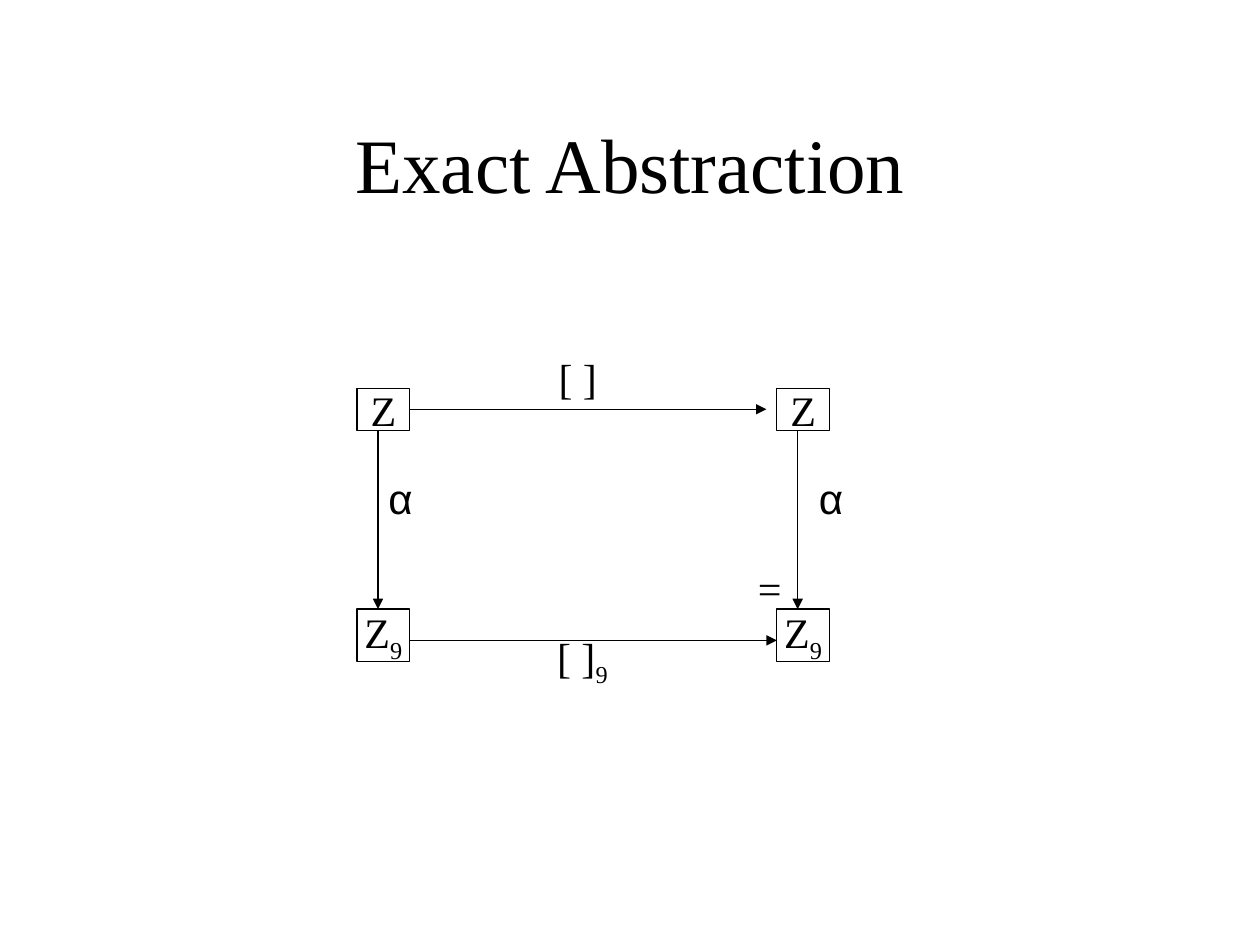
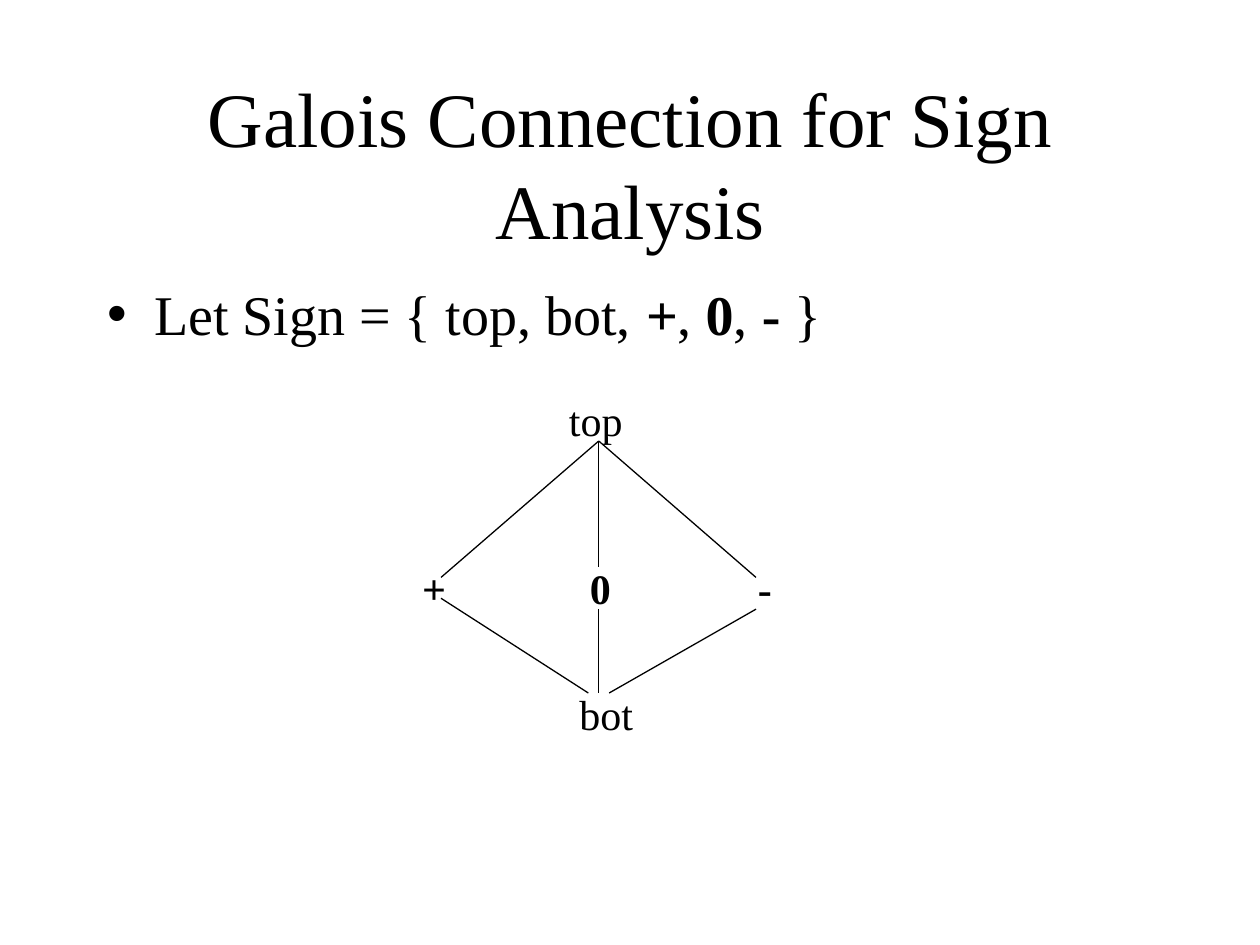
from lxml.etree import SubElement
from pptx import Presentation
from pptx.dml.color import RGBColor
from pptx.enum.shapes import MSO_CONNECTOR, MSO_SHAPE
from pptx.enum.text import MSO_ANCHOR as Anchor, MSO_AUTO_SIZE as AutoSize, PP_ALIGN as Align
from pptx.oxml.ns import qn
from pptx.util import Cm, Pt

BLACK = RGBColor(0x00, 0x00, 0x00)
WHITE = RGBColor(0xFF, 0xFF, 0xFF)
SERIF, SANS = "Times New Roman", "Arial"
HAIRLINE = Pt(0.75)
TITLE_ONLY = 5
LABEL_HEIGHT = 1.27
BOLD = {"bold": True}
PLAIN = {}
SUBSCRIPT = {"subscript": True}


def write_runs(paragraph, runs, size, font=SERIF):
    """Add (text, format) pairs to the paragraph."""
    for text, extra in runs:
        run = paragraph.add_run()
        run.text = text
        run.font.color.rgb = BLACK
        look = {"name": font, "size": Pt(size), **extra}
        if look.pop("subscript", False):
            run.font._element.set("baseline", "-25000")
        for attribute, value in look.items():
            setattr(run.font, attribute, value)


def add_title(slide, text):
    title = slide.shapes.title
    place = {"left": 1.91, "top": 1.69, "width": 21.6, "height": 3.18}
    for attribute, value in place.items():
        setattr(title, attribute, Cm(value))
    frame = title.text_frame
    frame.auto_size = AutoSize.NONE
    frame.vertical_anchor = Anchor.MIDDLE
    frame.paragraphs[0].alignment = Align.CENTER
    write_runs(frame.paragraphs[0], [(text, PLAIN)], 44)


def add_label(slide, origin, x, y, width, runs, font=SERIF, height=LABEL_HEIGHT):
    left, top = origin
    label = slide.shapes.add_textbox(Cm(left + x), Cm(top + y), Cm(width), Cm(height))
    frame = label.text_frame
    frame.word_wrap = True
    frame.auto_size = AutoSize.SHAPE_TO_FIT_TEXT
    write_runs(frame.paragraphs[0], runs, 24, font)


def add_edge(slide, origin, start, end, arrow=False):
    left, top = origin
    (x1, y1), (x2, y2) = start, end
    edge = slide.shapes.add_connector(
        MSO_CONNECTOR.STRAIGHT, Cm(left + x1), Cm(top + y1), Cm(left + x2), Cm(top + y2))
    edge.line.color.rgb = BLACK
    edge.line.width = HAIRLINE
    if arrow:
        SubElement(edge.line._get_or_add_ln(), qn("a:tailEnd"), type="triangle")
    SubElement(edge._element.spPr, qn("a:effectLst"))


def add_domain(slide, origin, x, y, width, height, runs):
    """Draw one boxed corner of the commuting square."""
    left, top = origin
    domain = slide.shapes.add_shape(
        MSO_SHAPE.RECTANGLE, Cm(left + x), Cm(top + y), Cm(width), Cm(height))
    domain.shadow.inherit = False
    domain.fill.solid()
    domain.fill.fore_color.rgb = WHITE
    domain.line.color.rgb = BLACK
    domain.line.width = HAIRLINE
    frame = domain.text_frame
    frame.word_wrap = False
    frame.vertical_anchor = Anchor.MIDDLE
    frame.paragraphs[0].alignment = Align.CENTER
    write_runs(frame.paragraphs[0], runs, 24)


def add_commuting_square(slide, origin):
    width, upper_height, lower_height = 1.06, 0.85, 1.06
    column_step, lower_y = 8.46, 4.45
    upper_arrow_y, lower_arrow_y = 0.42, 5.08
    nine = ("9", SUBSCRIPT)

    add_edge(slide, origin, (width, upper_arrow_y), (8.25, upper_arrow_y), arrow=True)
    for x, alpha_x in ((0, 0.38), (column_step, 9.06)):
        add_domain(slide, origin, x, 0, width, upper_height, [("Z", PLAIN)])
        add_domain(slide, origin, x, lower_y, width, lower_height, [("Z", PLAIN), nine])
        arrow_x = x + 0.42
        add_edge(slide, origin, (arrow_x, upper_height), (arrow_x, lower_y), arrow=True)
        add_label(slide, origin, alpha_x, 1.58, 1.04, [("α", PLAIN)], SANS)
    add_edge(slide, origin, (width, lower_arrow_y), (column_step, lower_arrow_y), arrow=True)

    add_label(slide, origin, 3.81, -0.85, 1.69, [("[ ]", PLAIN)])
    add_label(slide, origin, 3.78, 4.77, 1.69, [("[ ]", PLAIN), nine], height=1.42)
    add_label(slide, origin, 7.83, 3.39, 0.85, [("=", PLAIN)])


def add_bullet(slide, left, top, width, height, runs):
    body = slide.shapes.add_textbox(Cm(left), Cm(top), Cm(width), Cm(height))
    frame = body.text_frame
    frame.word_wrap = True
    paragraph = frame.paragraphs[0]
    properties = paragraph._p.get_or_add_pPr()
    indent = Cm(0.95)
    properties.set("marL", str(indent))
    properties.set("indent", str(-indent))
    SubElement(properties, qn("a:buFont"), typeface=SANS)
    SubElement(properties, qn("a:buChar"), char="•")
    write_runs(paragraph, runs, 32)


def add_sign_lattice(slide, origin):
    middle_y = 3.39
    elements = [
        ("top", 2.96, 0, 2.54, PLAIN),
        ("bot", 3.17, 5.93, 1.9, PLAIN),
        ("+", 0, middle_y, 1.9, BOLD),
        ("-", 6.77, middle_y, 2.54, BOLD),
        ("0", 3.38, middle_y, 1.8, BOLD),
    ]
    for text, x, y, width, look in elements:
        add_label(slide, origin, x, y, width, [(text, look)])

    # For each sign: x, end of its upper edge, start of its lower edge, x at bot
    apex, bot_y = (3.81, 1.06), 6.14
    signs = [(0.63, 3.81, 4.23, 3.6), (3.81, 3.6, 4.45, 3.81), (6.98, 3.81, 4.45, 4.02)]
    for x, upper_y, lower_y, bot_x in signs:
        add_edge(slide, origin, apex, (x, upper_y))
        add_edge(slide, origin, (x, lower_y), (bot_x, bot_y))


def new_slide(deck, title):
    slide = deck.slides.add_slide(deck.slide_layouts[TITLE_ONLY])
    add_title(slide, title)
    return slide


def main():
    deck = Presentation()
    deck.slide_width, deck.slide_height = Cm(25.4), Cm(19.05)

    exact = new_slide(deck, "Exact Abstraction")
    add_commuting_square(exact, (7.2, 7.83))

    galois = new_slide(deck, "Galois Connection for Sign Analysis")
    add_bullet(galois, 1.91, 5.51, 21.6, 11.43, [
        ("Let Sign = { top, bot, ", PLAIN),
        ("+", {"bold": True, "italic": True}),
        (", ", PLAIN),
        ("0", BOLD),
        (", ", PLAIN),
        ("-", BOLD),
        (" }", PLAIN),
    ])
    add_sign_lattice(galois, (8.26, 7.83))

    deck.save("out.pptx")


if __name__ == "__main__":
    main()
